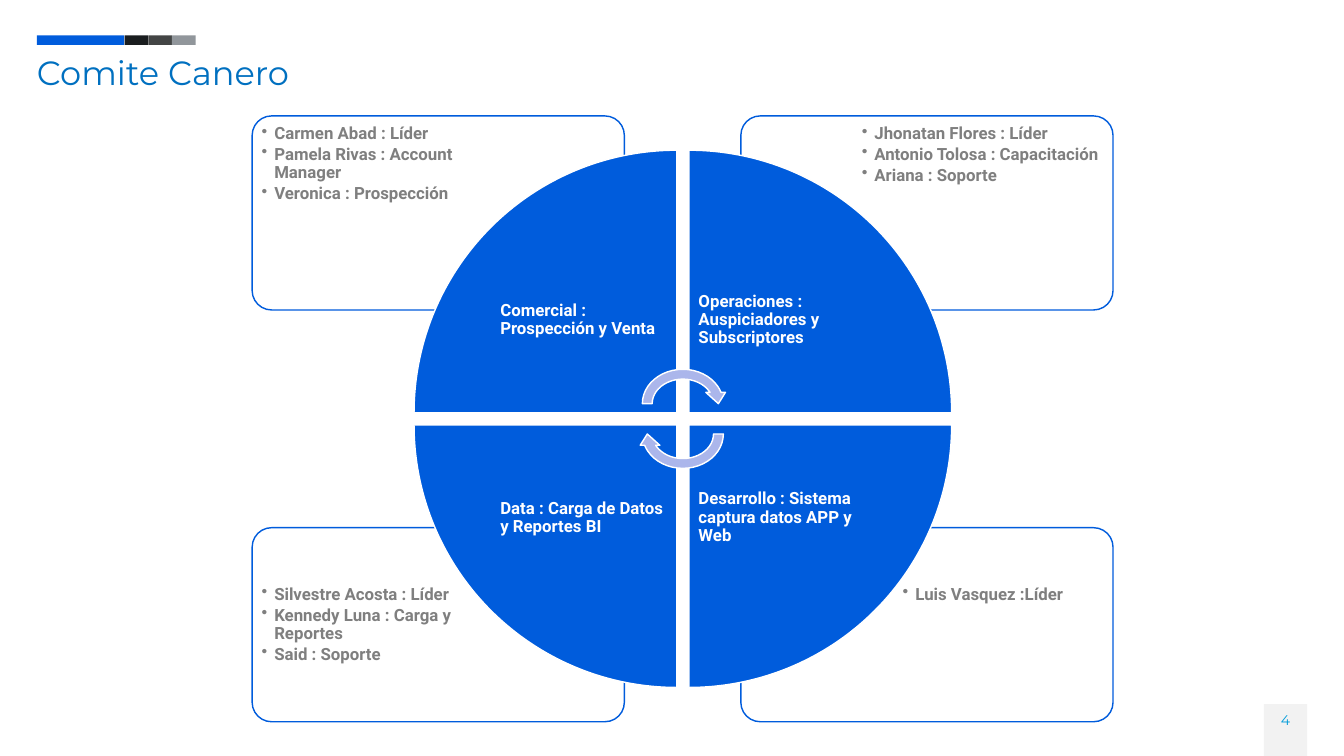
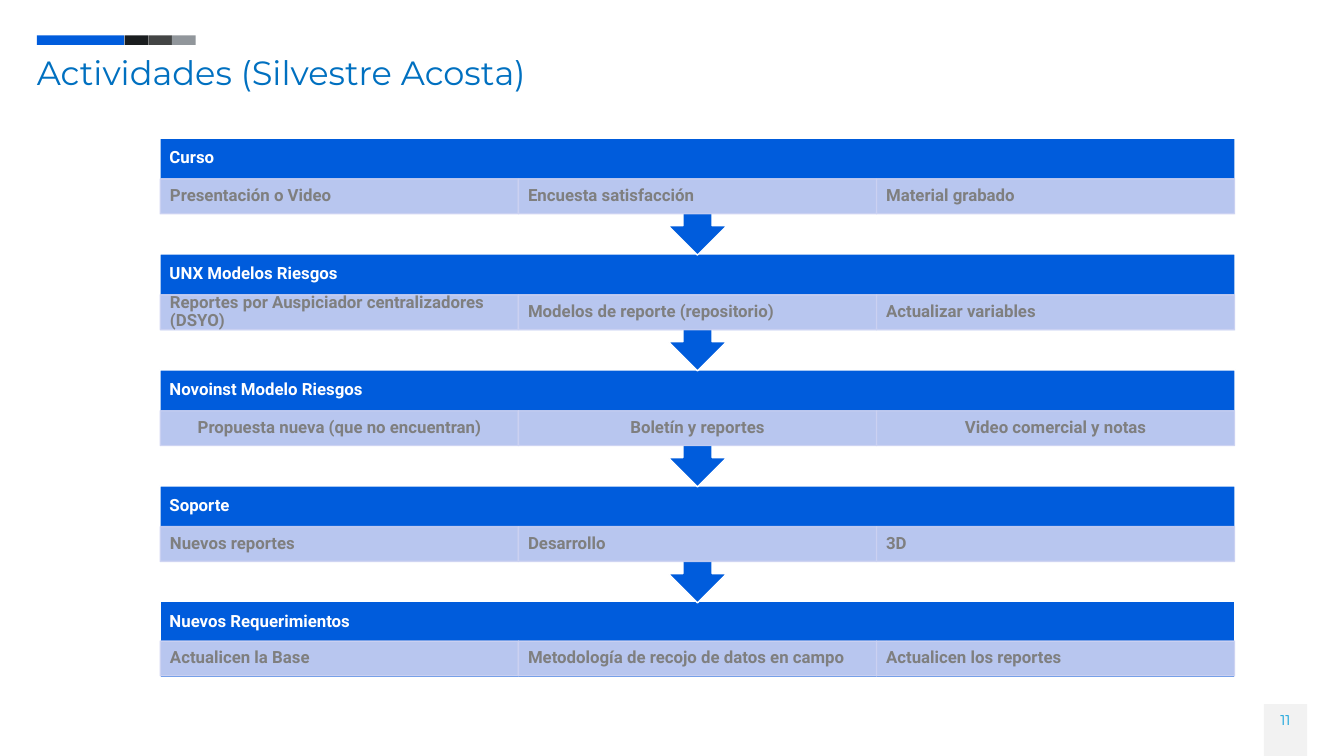
import pptx
import pptx.dml.color
import pptx.enum.shapes
import pptx.enum.text
import pptx.oxml
import pptx.oxml.ns
import pptx.util
from pptx.util import Inches

RGBColor = pptx.dml.color.RGBColor
SHAPE = pptx.enum.shapes.MSO_SHAPE
ALIGN = pptx.enum.text.PP_ALIGN
ANCHOR = pptx.enum.text.MSO_ANCHOR

BLUE = RGBColor(0x00, 0x5C, 0xDC)
BLACK = RGBColor(0x1A, 0x1D, 0x1F)
DARK_GREY = RGBColor(0x43, 0x45, 0x45)
MID_GREY = RGBColor(0x91, 0x96, 0x9B)
PALE_GREY = RGBColor(0xF2, 0xF2, 0xF2)
TEXT_GREY = RGBColor(0x7F, 0x7F, 0x7F)
LAVENDER = RGBColor(0xAB, 0xB6, 0xEB)
PALE_LAVENDER = RGBColor(0xCC, 0xD2, 0xF2)
TITLE_BLUE = RGBColor(0x00, 0x70, 0xC0)
NUMBER_BLUE = RGBColor(0x00, 0x9C, 0xDA)
WHITE = RGBColor(0xFF, 0xFF, 0xFF)

TITLE_FONT = {"name": "Montserrat", "size": pptx.util.Pt(48), "color": TITLE_BLUE}
NUMBER_FONT = {"name": "Montserrat", "size": pptx.util.Pt(20), "color": NUMBER_BLUE}
HEADING_FONT = {"name": "Roboto", "size": pptx.util.Pt(24), "bold": True, "color": WHITE}
BODY_FONT = {**HEADING_FONT, "color": TEXT_GREY}

# left, width, colour
TOP_BAND = [
    (0.73, 1.73, BLUE),
    (2.47, 0.47, BLACK),
    (2.94, 0.47, DARK_GREY),
    (3.41, 0.47, MID_GREY),
]

COMMITTEE_TITLE = "Comite Canero"
# column, row, wedge rotation, area, members, alignment of members
COMMITTEE = [
    (0, 0, 0, "Comercial : Prospección y Venta",
     ["Carmen Abad : Líder", "Pamela Rivas : Account Manager",
      "Veronica : Prospección"], ALIGN.LEFT),
    (1, 0, 90, "Operaciones : Auspiciadores y Subscriptores",
     ["Jhonatan Flores : Líder", "Antonio Tolosa : Capacitación",
      "Ariana : Soporte"], ALIGN.LEFT),
    (1, 1, 180, "Desarrollo : Sistema captura datos APP y Web",
     ["Luis Vasquez :Líder"], ALIGN.CENTER),
    (0, 1, 270, "Data : Carga de Datos y Reportes BI",
     ["Silvestre Acosta : Líder", "Kennedy Luna : Carga y Reportes",
      "Said : Soporte"], ALIGN.LEFT),
]

ACTIVITIES_TITLE = "Actividades (Silvestre Acosta)"
# heading, tasks, alignment of tasks
ACTIVITIES = [
    ("Curso", ["Presentación o Video", "Encuesta satisfacción",
               "Material grabado"], ALIGN.LEFT),
    ("UNX Modelos Riesgos", ["Reportes por Auspiciador centralizadores (DSYO)",
                             "Modelos de reporte (repositorio)",
                             "Actualizar variables"], ALIGN.LEFT),
    ("Novoinst Modelo Riesgos", ["Propuesta nueva (que no encuentran)",
                                 "Boletín y reportes",
                                 "Video comercial y notas"], ALIGN.CENTER),
    ("Soporte", ["Nuevos reportes", "Desarrollo", "3D"], ALIGN.LEFT),
    ("Nuevos Requerimientos", ["Actualicen la Base",
                               "Metodología de recojo de datos en campo",
                               "Actualicen los reportes"], ALIGN.LEFT),
]


def set_opacity(fill_parent, percent):
    """Make every solid colour below the given element partly see-through."""
    for color in fill_parent.iter(pptx.oxml.ns.qn("a:srgbClr")):
        color.append(pptx.oxml.parse_xml(
            f'<a:alpha {pptx.oxml.ns.nsdecls("a")} val="{percent * 1000}"/>'))


def add_bullet(para):
    properties = para._p.get_or_add_pPr()
    properties.set("marL", str(Inches(0.25)))
    properties.set("indent", str(Inches(-0.25)))
    properties.append(pptx.oxml.parse_xml(
        f'<a:buChar {pptx.oxml.ns.nsdecls("a")} char="•"/>'))


def write(box, lines, font, align=ALIGN.LEFT, anchor=ANCHOR.TOP,
          insets=(0.1, 0.05), bullets=False):
    """Fill a shape with one paragraph a line; insets are (sides, top and bottom)."""
    frame = box.text_frame
    side, edge = map(Inches, insets)
    frame_format = {
        "word_wrap": True, "auto_size": pptx.enum.text.MSO_AUTO_SIZE.NONE,
        "vertical_anchor": anchor, "margin_left": side, "margin_right": side,
        "margin_top": edge, "margin_bottom": edge,
    }
    for name, value in frame_format.items():
        setattr(frame, name, value)
    for index, line in enumerate(lines):
        para = frame.add_paragraph() if index else frame.paragraphs[0]
        para.alignment = align
        para.line_spacing = 0.9
        if bullets:
            para.level = 1
            para.space_after = pptx.util.Pt(4)
            add_bullet(para)
        span = para.add_run()
        span.text = line
        for name, value in font.items():
            if name == "color":
                span.font.color.rgb = value
            else:
                setattr(span.font, name, value)


def add_shape(page, kind, place, fill, line=None, rotation=0, opacity=100):
    shape = page.shapes.add_shape(kind, *map(Inches, place))
    shape.shadow.inherit = False
    shape.rotation = rotation
    shape.fill.solid()
    shape.fill.fore_color.rgb = fill
    if line is None:
        shape.line.fill.background()
    else:
        shape.line.color.rgb = line
        shape.line.width = pptx.util.Pt(2)
    if opacity < 100:
        set_opacity(shape._element.spPr, opacity)
    return shape


def add_text(page, place, lines, font, **options):
    write(page.shapes.add_textbox(*map(Inches, place)), lines, font, **options)


def add_page(deck, title, number):
    page = deck.slides.add_slide(deck.slide_layouts[5])
    add_shape(page, SHAPE.RECTANGLE, (25.06, 13.97, 0.86, 1.03), PALE_GREY)
    for left, width, color in TOP_BAND:
        add_shape(page, SHAPE.RECTANGLE, (left, 0.7, width, 0.19), color)
    add_text(page, (25.06, 14.11, 0.86, 0.8), [number], NUMBER_FONT, align=ALIGN.CENTER)
    heading = page.shapes.title
    heading.left, heading.top, heading.width, heading.height = map(
        Inches, (0.73, 1.12, 25.19, 1.09))
    write(heading, [title], TITLE_FONT, insets=(0, 0))
    return page


def draw_committee(page):
    card_lefts, card_tops = (5, 14.69), (2.3, 10.47)
    member_lefts, member_tops = (5.09, 16.99), (2.38, 11.52)
    wedge_lefts, wedge_tops, wedge_size = (8.21, 13.66), (2.98, 8.43), 5.21
    area_lefts, area_tops, area_size = (9.73, 13.66), (4.51, 8.43), 3.68

    for column, row, _, _, members, align in reversed(COMMITTEE):
        card = add_shape(page, SHAPE.ROUNDED_RECTANGLE,
                         (card_lefts[column], card_tops[row], 7.38, 3.85), WHITE, BLUE)
        card.adjustments[0] = 0.1
        add_text(page, (member_lefts[column], member_tops[row], 5, 2.72), members,
                 BODY_FONT, align=align, insets=(0.1, 0.1), bullets=True)

    for column, row, rotation, area, _, _ in COMMITTEE:
        add_shape(page, SHAPE.PIE_WEDGE,
                  (wedge_lefts[column], wedge_tops[row], wedge_size, wedge_size),
                  BLUE, WHITE, rotation)
        add_text(page, (area_lefts[column], area_tops[row], area_size, area_size), [area],
                 HEADING_FONT, anchor=ANCHOR.MIDDLE, insets=(0.19, 0.19))

    for top, rotation in ((7.23, 0), (7.83, 180)):
        add_shape(page, SHAPE.CIRCULAR_ARROW, (12.64, top, 1.8, 1.56),
                  LAVENDER, WHITE, rotation)


def draw_activities(page):
    left, first_top, width, pitch = 3.17, 2.74, 21.32, 2.3
    task_left, task_width, task_height = 3.18, 7.1, 0.69
    last = len(ACTIVITIES) - 1

    # Drawn from the bottom up, so that each arrow tip lies over the next block.
    for index, (heading, tasks, align) in reversed(list(enumerate(ACTIVITIES))):
        top = first_top + index * pitch
        if index == last:
            add_shape(page, SHAPE.RECTANGLE, (left, top, width, 1.51), BLUE, WHITE)
        else:
            add_shape(page, SHAPE.UP_ARROW_CALLOUT, (left, top, width, 2.32),
                      BLUE, WHITE, rotation=180)
        add_text(page, (left, top, width, 0.81), [heading], HEADING_FONT,
                 anchor=ANCHOR.MIDDLE, insets=(0.19, 0.19))
        task_top = top + (0.78 if index == last else 0.81)
        for column, task in enumerate(tasks):
            place = (task_left + column * task_width, task_top, task_width, task_height)
            cell = add_shape(page, SHAPE.RECTANGLE, place, PALE_LAVENDER,
                             PALE_LAVENDER, opacity=90)
            write(cell, [task], BODY_FONT, align=align, anchor=ANCHOR.MIDDLE,
                  insets=(0.19, 0.03))


def main():
    deck = pptx.Presentation()
    deck.slide_width, deck.slide_height = Inches(26.65), Inches(15)
    draw_committee(add_page(deck, COMMITTEE_TITLE, "4"))
    draw_activities(add_page(deck, ACTIVITIES_TITLE, "11"))
    deck.save("out.pptx")


if __name__ == "__main__":
    main()
